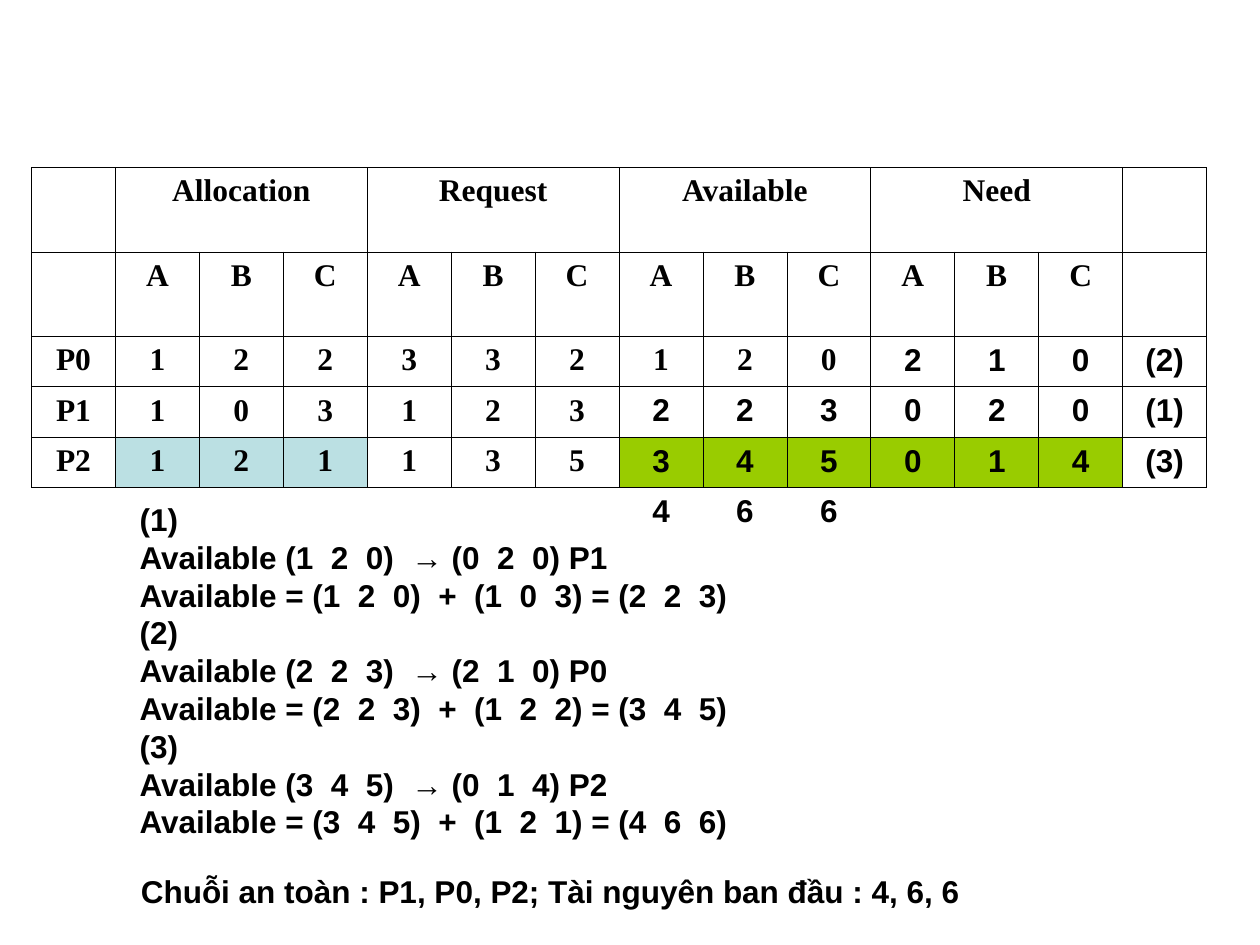
from dataclasses import dataclass

from lxml import etree
from pptx import Presentation
from pptx.dml.color import RGBColor
from pptx.enum.text import MSO_AUTO_SIZE, PP_ALIGN
from pptx.oxml.ns import qn
from pptx.util import Inches, Pt

LEFT, MID = PP_ALIGN.LEFT, PP_ALIGN.CENTER
GROW = MSO_AUTO_SIZE.SHAPE_TO_FIT_TEXT


@dataclass(frozen=True)
class Theme:
    ink: str = "000000"
    blue: str = "BBE0E3"
    green: str = "99CC00"
    sans: str = "Arial"
    serif: str = "Times New Roman"
    size: float = 18
    line: float = 0.45


def put(frame, text, *, font, size, color, align=LEFT, bold=True):
    """Write each line of text as one formatted paragraph."""
    for i, line in enumerate(text.split("\n")):
        para = frame.add_paragraph() if i else frame.paragraphs[0]
        para.alignment = align
        run = para.add_run()
        run.text = line
        run.font.name = font
        run.font.size = Pt(size)
        run.font.bold = bold
        run.font.color.rgb = RGBColor.from_string(color)


class Page:
    def __init__(self, slide, theme):
        self.slide = slide
        self.theme = theme

    def label(self, text, left, top, width, height):
        box = self.slide.shapes.add_textbox(
            Inches(left), Inches(top), Inches(width), Inches(height))
        frame = box.text_frame
        frame.word_wrap = False
        frame.auto_size = GROW
        put(frame, text, font=self.theme.sans, size=self.theme.size,
            color=self.theme.ink)

    def border(self, cell, sides):
        """Draw the named sides of a cell and clear the others."""
        props = cell._tc.get_or_add_tcPr()
        for side in "LRTB":
            line = etree.SubElement(props, qn(f"a:ln{side}"),
                                    w=str(Pt(self.theme.line)))
            if side in sides:
                fill = etree.SubElement(line, qn("a:solidFill"))
                etree.SubElement(fill, qn("a:srgbClr"), val=self.theme.ink)
            else:
                etree.SubElement(line, qn("a:noFill"))

    def cell(self, cell, text, font, fill, sides):
        self.border(cell, sides)
        if fill:
            cell.fill.solid()
            cell.fill.fore_color.rgb = RGBColor.from_string(fill)
        else:
            cell.fill.background()
        if text:
            put(cell.text_frame, text, font=font, size=self.theme.size,
                color=self.theme.ink, align=MID)

    def table(self, rows, heights, left, top, width, look):
        count = len(rows[0])
        table = self.slide.shapes.add_table(
            len(rows), count, Inches(left), Inches(top),
            Inches(width), Inches(sum(heights))).table
        table.first_row = table.horz_banding = False
        for col in table.columns:
            col.width = Inches(width / count)
        for r, row in enumerate(rows):
            table.rows[r].height = Inches(heights[r])
            for c, text in enumerate(row):
                self.cell(table.cell(r, c), text, *look(r, c))
        return table


# Table content: four groups of three resources
GROUPS = ["Allocation", "Request", "Available", "Need"]
HEADS = [""]
for name in GROUPS:
    HEADS += [name, "", ""]
ROWS = [
    HEADS + [""],
    ["", *"ABC" * len(GROUPS), ""],
    ["P0", *"122332120210", "(2)"],
    ["P1", *"103123223020", "(1)"],
    ["P2", *"121135345014", "(3)"],
    [""] * 7 + [*"466"] + [""] * 4,
]

# Each step: available, need, process, allocation, new available
STEPS = [
    ("120", "020", "P1", "103", "223"),
    ("223", "210", "P0", "122", "345"),
    ("345", "014", "P2", "121", "466"),
]


def triple(digits):
    return "(" + "  ".join(digits) + ")"


def work():
    lines = []
    for i, (free, need, name, held, total) in enumerate(STEPS, 1):
        lines += [
            f"({i})",
            f"Available {triple(free)}  → {triple(need)} {name}",
            f"Available = {triple(free)}  +  {triple(held)} = {triple(total)}",
        ]
    return "\n".join(lines)


def main():
    deck = Presentation()
    deck.slide_width, deck.slide_height = Inches(10), Inches(7.5)
    theme = Theme()
    page = Page(deck.slides.add_slide(deck.slide_layouts[6]), theme)

    def look(r, c):
        """Font, fill and borders of the cell at row r, column c."""
        solved = (r >= 2 and c >= 10) or (r >= 3 and c >= 7)
        fill = None
        if r == 4 and 1 <= c <= 3:
            fill = theme.blue
        elif r == 4 and 7 <= c <= 12:
            fill = theme.green
        sides = "T" if r == len(ROWS) - 1 else "LRTB"
        return theme.sans if solved else theme.serif, fill, sides

    # Resource table with merged group heads
    table = page.table(ROWS, [0.67] * 2 + [0.4] * 4, 0.25, 1.33, 9.33, look)
    for i in range(len(GROUPS)):
        first = 1 + 3 * i
        table.cell(0, first).merge(table.cell(0, first + 2))

    # Result and worked steps
    page.label("Chuỗi an toàn : P1, P0, P2; Tài nguyên ban đầu : 4, 6, 6",
               1.02, 6.87, 6.77, 0.4)
    page.label(work(), 1.01, 3.92, 4.87, 2.8)

    deck.save("out.pptx")


if __name__ == "__main__":
    main()
